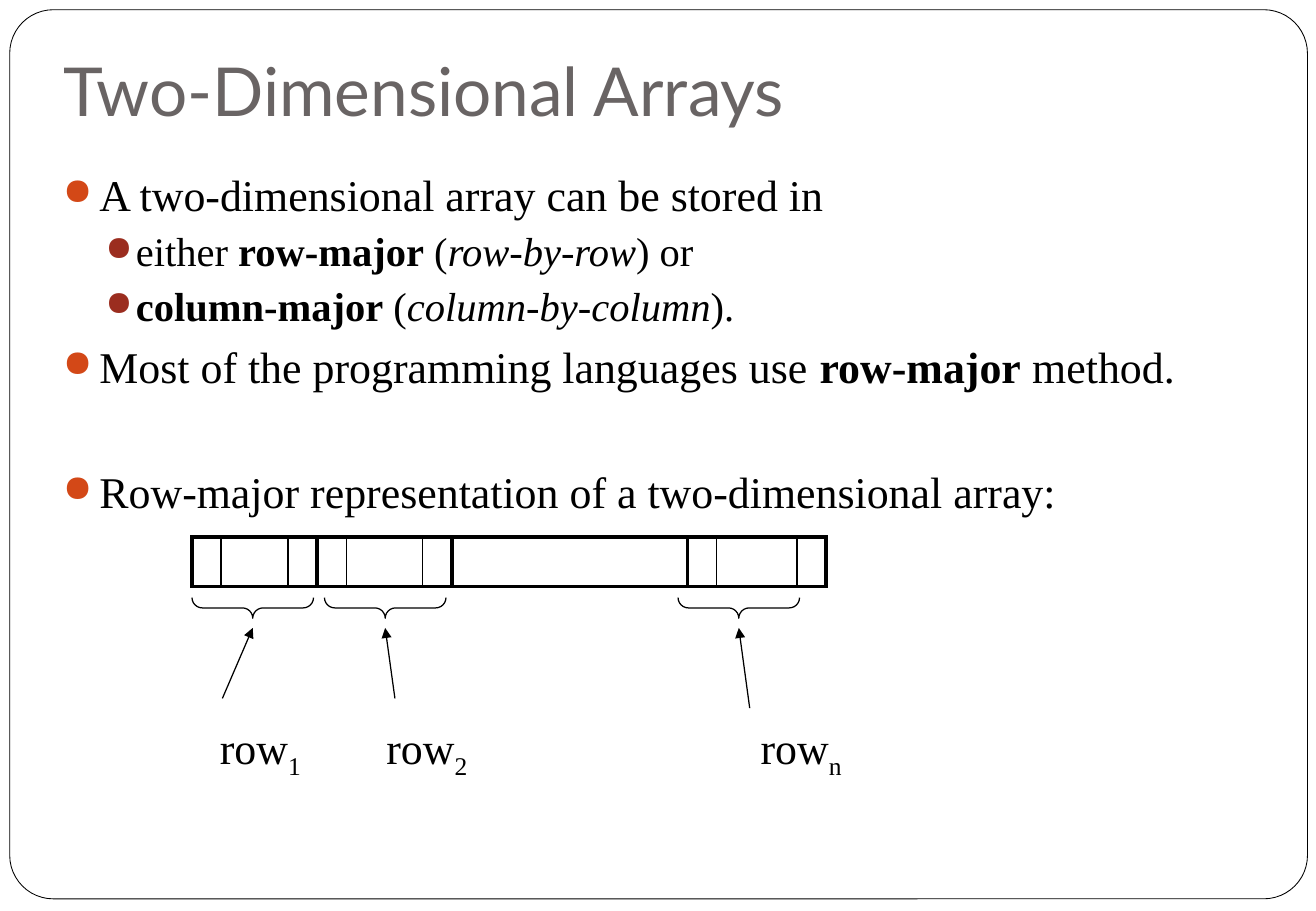
import pptx
import pptx.util
import pptx.dml.color
import pptx.enum.shapes
import pptx.enum.text
import pptx.oxml
from pptx.oxml.ns import qn

Inches, Pt = pptx.util.Inches, pptx.util.Pt
SHAPE = pptx.enum.shapes.MSO_SHAPE
ANCHOR = pptx.enum.text.MSO_ANCHOR
SERIF = "Times New Roman"
NS = 'xmlns:a="http://schemas.openxmlformats.org/drawingml/2006/main"'

BULLETS = [  # level, space before, runs of (text, style)
    (0, 5.8, [("A two-dimensional array can be stored in", "")]),
    (1, 3.7, [("either ", ""), ("row-major", "b"), (" (", ""),
              ("row-by-row", "i"), (") or", "")]),
    (1, 3.7, [("column-major", "b"), (" (", ""),
              ("column-by-column", "i"), (").", "")]),
    (0, 5.8, [("Most of the programming languages use ", ""),
              ("row-major", "b"), (" method.", "")]),
    (0, 43, [("Row-major representation of a two-dimensional array:", "")]),
]
LEVELS = [  # size, left margin, hanging indent, bullet colour
    (26, 0.3, 0.3, "D34817"),
    (24, 0.6, 0.25, "9B2D1F"),
]
EDGE = 0.24
GROUPS = [(EDGE, 0.55, EDGE), (EDGE, 0.63, EDGE), (1.94,), (EDGE, 0.66, EDGE)]
ROWS = [  # index, brace centre, arrow start, label left
    ("1", 2.08, (1.83, 5.75), 1.81),
    ("2", 3.17, (3.25, 5.75), 3.18),
    ("n", 6.08, (6.17, 5.83), 6.26),
]


def rgb(code):
    return pptx.dml.color.RGBColor.from_string(code)


def node(xml):
    return pptx.oxml.parse_xml(xml)


def write(para, text, size=26, font=SERIF, color="000000", style=""):
    """Add a run; style is b (bold), i (italic) or s (subscript)."""
    run = para.add_run()
    run.text = text
    run.font.size = Pt(size)
    run.font.name = font
    run.font.color.rgb = rgb(color)
    run.font.bold = style == "b"
    run.font.italic = style == "i"
    if style == "s":
        run.font._element.set("baseline", "-25000")


def frame(slide, box, inset=(0.1, 0.05, 0.1, 0.05), anchor=ANCHOR.TOP):
    area = slide.shapes.add_textbox(*map(Inches, box)).text_frame
    area.word_wrap = True
    area.vertical_anchor = anchor
    (area.margin_left, area.margin_top,
     area.margin_right, area.margin_bottom) = map(Inches, inset)
    return area


def outline(slide, kind, box, width):
    shape = slide.shapes.add_shape(kind, *map(Inches, box))
    shape.shadow.inherit = False
    shape.fill.background()
    shape.line.color.rgb = rgb("000000")
    shape.line.width = Pt(width)
    return shape


def border(slide, box):
    card = outline(slide, SHAPE.ROUNDED_RECTANGLE, box, 0.5)
    card.adjustments[0] = 0.049
    card.fill.solid()
    card.fill.fore_color.rgb = rgb("FFFFFF")


def title(slide, box):
    area = frame(slide, box, (0.1, 0.05, 0.1, 0.1), ANCHOR.BOTTOM)
    write(area.paragraphs[0], "Two-Dimensional Arrays",
          size=40, font="Lato", color="696464")


def body(slide, box):
    area = frame(slide, box)
    for i, (level, gap, runs) in enumerate(BULLETS):
        para = area.add_paragraph() if i else area.paragraphs[0]
        para.level = level
        para.space_before = Pt(gap)
        size, left, hang, color = LEVELS[level]
        props = para._p.get_or_add_pPr()
        props.set("marL", str(Inches(left)))
        props.set("indent", str(-Inches(hang)))
        for xml in (f'<a:buClr {NS}><a:srgbClr val="{color}"/></a:buClr>',
                    f'<a:buSzPct {NS} val="85000"/>',
                    f'<a:buChar {NS} char="●"/>'):
            props.append(node(xml))
        for text, style in runs:
            write(para, text, size=size, style=style)


def rule(cell, side, width):
    """Draw one border of a cell."""
    cell._tc.get_or_add_tcPr().append(node(
        f'<a:{side} {NS} w="{Pt(width)}"><a:solidFill>'
        f'<a:srgbClr val="000000"/></a:solidFill></a:{side}>'))


def memory(slide, box):
    """Strip of cells with heavy rules around each group."""
    cols = [(wide, i == 0, i == len(group) - 1)
            for group in GROUPS for i, wide in enumerate(group)]
    table = slide.shapes.add_table(1, len(cols), *map(Inches, box)).table
    table.first_row = table.horz_banding = False
    for i, (wide, first, last) in enumerate(cols):
        table.columns[i].width = Inches(wide)
        cell = table.cell(0, i)
        rule(cell, "lnL", 2.25 if first else 1)
        rule(cell, "lnR", 2.25 if last else 1)
        rule(cell, "lnT", 2.25)
        rule(cell, "lnB", 2.25)
        cell.fill.background()


def arrow(slide, start, end):
    line = slide.shapes.add_connector(
        pptx.enum.shapes.MSO_CONNECTOR.STRAIGHT, *map(Inches, start + end))
    line.line.color.rgb = rgb("000000")
    line.line.width = Pt(0.75)
    line.line._get_or_add_ln().append(
        node(f'<a:tailEnd {NS} type="triangle"/>'))
    line._element.find(qn("p:spPr")).append(node(f"<a:effectLst {NS}/>"))


def marks(slide, top):
    """Brace, arrow and label for each named row."""
    thick, span = 0.17, 1
    for index, mid, start, left in ROWS:
        box = (mid - thick / 2, top + (thick - span) / 2, thick, span)
        brace = outline(slide, SHAPE.RIGHT_BRACE, box, 0.75)
        brace.rotation = 90
        brace.adjustments[0] = brace.adjustments[1] = 0.5
        arrow(slide, start, (mid, top + 0.25))
        label = frame(slide, (left, top + 1.01, 0.9, 0.5), (0, 0, 0, 0))
        write(label.paragraphs[0], "row")
        write(label.paragraphs[0], index, style="s")


def main():
    deck = pptx.Presentation()
    deck.slide_width, deck.slide_height = Inches(10.83), Inches(7.5)
    slide = deck.slides.add_slide(deck.slide_layouts[6])
    border(slide, (0.08, 0.08, 10.68, 7.32))
    title(slide, (0.42, 0.17, 10.25, 1))
    body(slide, (0.42, 1.33, 10, 3))
    memory(slide, (1.58, 4.42, 5.22, 0.41))
    marks(slide, 4.92)
    deck.save("out.pptx")


if __name__ == "__main__":
    main()
